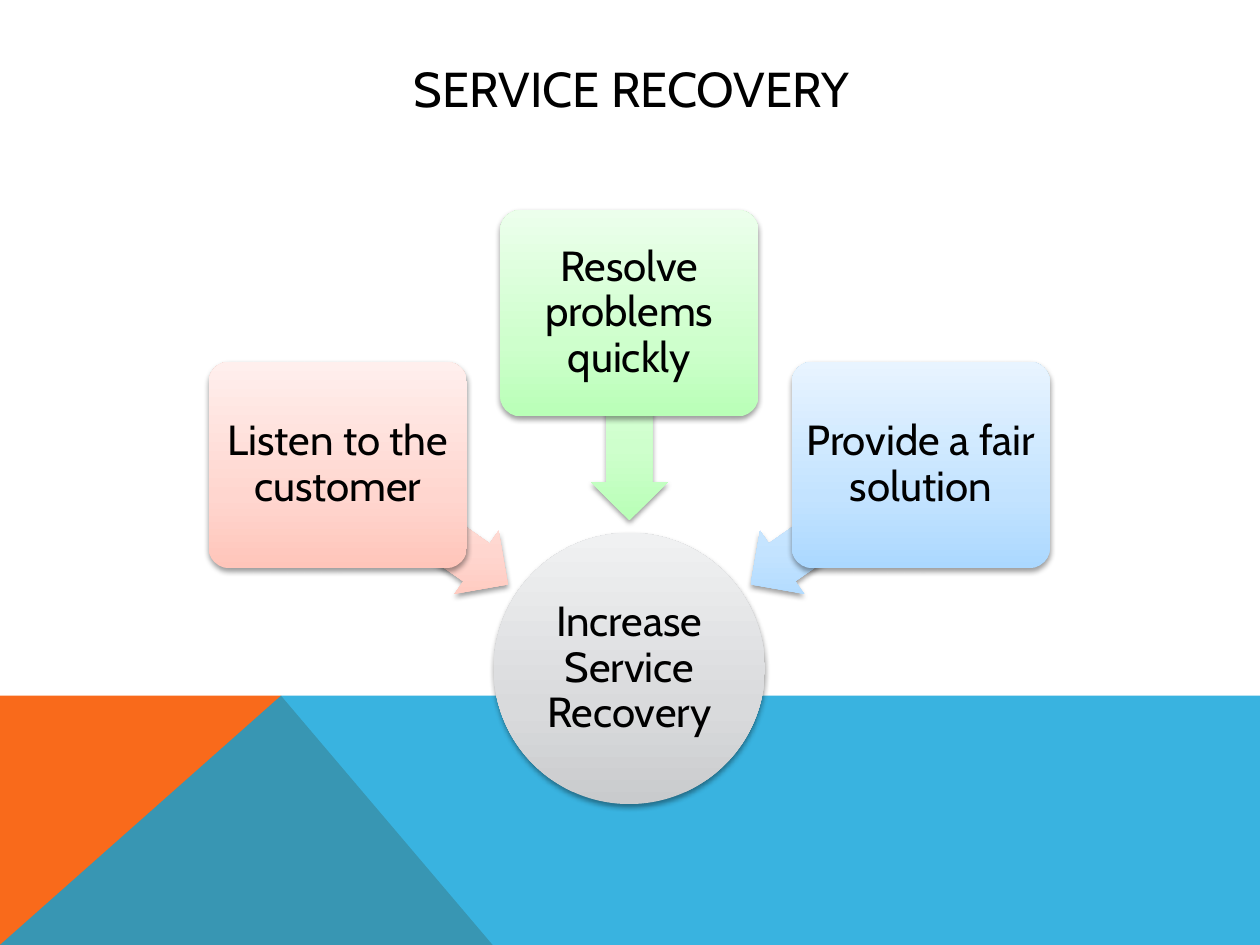
from lxml import etree
from pptx import Presentation, util as u
from pptx.dml.color import RGBColor
from pptx.enum import shapes, text
from pptx.oxml import parse_xml
from pptx.oxml.ns import nsdecls, qn

FONT = "Cabin"
PINK = ("FFC5BA", "FFD6CF", "FFEFED")
GREEN = ("B9FFB7", "CEFFCC", "ECFFEC")
BLUE = ("ABD8FF", "C3E3FF", "E8F4FF")
GREY = ("C9CBCD", "D9DADC", "F0F1F2")
BOX_W, BOX_H = 147.6, 118
ARROW_W, ARROW_H = 118.8, 43.9
CENTER = 359.6
STEPS = [
    ("Listen to the customer", PINK, -1, 265.7, 299.9, 215),
    ("Resolve problems quickly", GREEN, 0, 179, 238, 270),
    ("Provide a fair solution", BLUE, 1, 265.7, 299.9, 325),
]


def rgb(value):
    """Return the colour for a hex string."""
    return RGBColor.from_string(value)


def apply(obj, values):
    """Set each attribute in a dict of format values."""
    for name, value in values.items():
        setattr(obj, name, value)


def write(sp, words, size, inset, spacing):
    """Write centred text into a shape."""
    tf = sp.text_frame
    margins = {f"margin_{side}": u.Pt(inset) for side in ("left", "top", "right", "bottom")}
    apply(tf, {"word_wrap": True, "auto_size": text.MSO_AUTO_SIZE.NONE,
               "vertical_anchor": text.MSO_ANCHOR.MIDDLE, **margins})
    p = tf.paragraphs[0]
    apply(p, {"alignment": text.PP_ALIGN.CENTER, "line_spacing": spacing})
    r = p.add_run()
    r.text = words
    apply(r.font, {"name": FONT, "size": u.Pt(size), "bold": False})
    r.font.color.rgb = rgb("000000")


def add_title(s, words):
    """Place and format the slide title."""
    sp = s.shapes.title
    apply(sp, {"left": u.Pt(64.8), "top": u.Pt(28.8), "width": u.Pt(592), "height": u.Pt(43.2)})
    write(sp, words, 28, 3.6, 1)


def add_band(s, points, color, alpha=100):
    """Add a flat polygon to the foot of the slide."""
    points = [(u.Pt(x), u.Pt(y)) for x, y in points]
    builder = s.shapes.build_freeform(*points[0])
    builder.add_line_segments(points[1:], close=True)
    sp = builder.convert_to_shape()
    sp.shadow.inherit = False
    sp.line.fill.background()
    sp.fill.solid()
    sp.fill.fore_color.rgb = rgb(color)
    if alpha < 100:
        clr = sp.fill._xPr.find(qn("a:solidFill"))[0]
        etree.SubElement(clr, qn("a:alpha"), val=str(alpha * 1000))


def add_shaded(s, kind, cx, cy, w, h, colors, adjustments=(), rotation=0):
    """Add a centred preset shape with an upward gradient and a soft shadow."""
    sp = s.shapes.add_shape(kind, u.Pt(cx - w / 2), u.Pt(cy - h / 2), u.Pt(w), u.Pt(h))
    sp.rotation = rotation
    for i, value in enumerate(adjustments):
        sp.adjustments[i] = value
    sp.line.fill.background()
    stops = "".join(f'<a:gs pos="{pos}"><a:srgbClr val="{color}"/></a:gs>'
                    for pos, color in zip((0, 35000, 100000), colors))
    grad = parse_xml(f'<a:gradFill rotWithShape="0" {nsdecls("a")}><a:gsLst>{stops}</a:gsLst>'
                     '<a:lin ang="16200000" scaled="0"/></a:gradFill>')
    shadow = parse_xml(f'<a:effectLst {nsdecls("a")}><a:outerShdw blurRad="{u.Pt(3.1)}" '
                       f'dist="{u.Pt(1.6)}" dir="5400000" rotWithShape="0">'
                       '<a:srgbClr val="000000"><a:alpha val="38000"/></a:srgbClr>'
                       '</a:outerShdw></a:effectLst>')
    props = sp._element.spPr
    props.find(qn("a:prstGeom")).addnext(grad)
    props.append(shadow)
    return sp


def add_step(s, words, colors, column, box_y, arrow_y, rotation):
    """Add a step box and the arrow that leads from it to the goal."""
    add_shaded(s, shapes.MSO_SHAPE.LEFT_ARROW, CENTER + 118 * column, arrow_y,
               ARROW_W, ARROW_H, colors, (0.6, 0.5), rotation)
    sp = add_shaded(s, shapes.MSO_SHAPE.ROUNDED_RECTANGLE, CENTER + 166.6 * column, box_y,
                    BOX_W, BOX_H, colors, (0.1,))
    write(sp, words, 24, 3.6, 0.9)


def main():
    """Build the slide and save it."""
    prs = Presentation()
    apply(prs, {"slide_width": u.Pt(720), "slide_height": u.Pt(540)})
    s = prs.slides.add_slide(prs.slide_layouts[5])
    add_band(s, [(0, 540), (0, 397.6), (160.6, 397.6), (281.5, 540)], "F96A1B")
    add_band(s, [(0, 540), (160.6, 397.6), (720, 397.6), (720, 540)], "08A1D9", 80)
    add_title(s, "SERVICE RECOVERY")
    goal = add_shaded(s, shapes.MSO_SHAPE.OVAL, CENTER, 382, 155, 155, GREY)
    write(goal, "Increase Service Recovery", 24, 1.5, 0.9)
    for step in STEPS:
        add_step(s, *step)
    prs.save("out.pptx")


if __name__ == "__main__":
    main()
